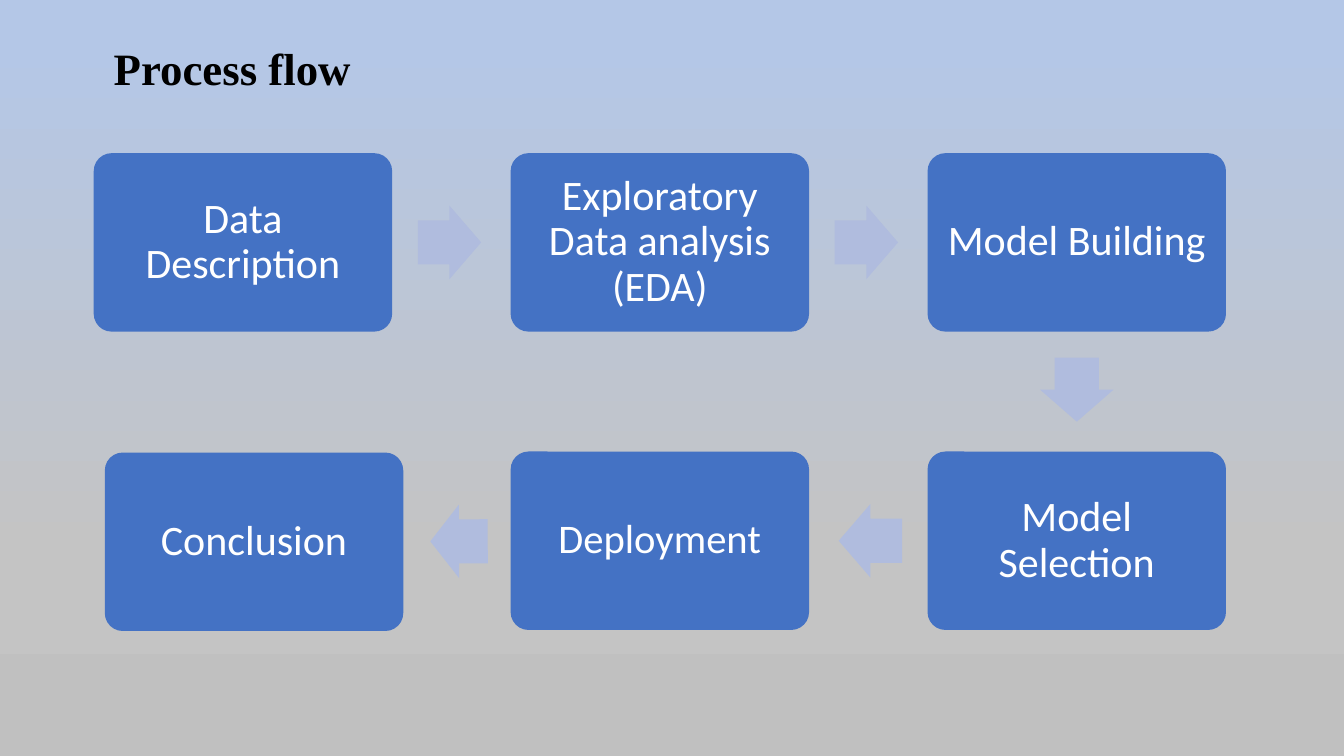
from copy import deepcopy
from math import atan2, degrees

from pptx import Presentation
from pptx.dml.color import RGBColor
from pptx.enum.shapes import MSO_SHAPE
from pptx.enum.text import MSO_ANCHOR, PP_ALIGN
from pptx.oxml.ns import qn
from pptx.util import Inches, Pt

ROUND, ARROW = MSO_SHAPE.ROUNDED_RECTANGLE, MSO_SHAPE.RIGHT_ARROW
MIDDLE = MSO_ANCHOR.MIDDLE
LEFT, CENTER = PP_ALIGN.LEFT, PP_ALIGN.CENTER

# Content: label, column, row, offset from the grid, type size
TITLE = "Process flow"
STEPS = [
    ("Data Description", 0, 0, (0, 0), "step"),
    ("Exploratory Data analysis (EDA)", 1, 0, (0, 0), "step"),
    ("Model Building", 2, 0, (0, 0), "step"),
    ("Model Selection", 2, 1, (0, 0), "step"),
    ("Deployment", 1, 1, (0, 0), "small"),
    ("Conclusion", 0, 1, (0.11, 0.01), "step"),
]

THEME = {
    "title": 32, "step": 30, "small": 29,
    "head": "Times New Roman", "body": "Calibri",
    "ink": "000000", "white": "FFFFFF", "box": "4472C4", "arrow": "B0BCDE",
    "back": [(0.05, "B4C7E7"), (0.73, "C4C4C4"), (1, "C0C0C0")],
}

# Grid, in inches
WIDE, HIGH = 13.33, 7.5
X0, Y0 = 0.93, 1.52
BOX_W, BOX_H = 2.96, 1.77
STEP_X, STEP_Y = 4.135, 2.96
ARROW_H = 0.73
BACK = 0.02  # each arrow sits slightly toward its start


def color(name):
    return RGBColor.from_string(THEME.get(name, name))


def write(shape, text, size, font, ink, bold=False, align=CENTER, pad=(0.12, 0.12)):
    frame = shape.text_frame
    frame.word_wrap = True
    frame.vertical_anchor = MIDDLE
    frame.margin_left = frame.margin_right = Inches(pad[0])
    frame.margin_top = frame.margin_bottom = Inches(pad[1])
    para = frame.paragraphs[0]
    para.alignment, para.line_spacing = align, 0.9
    run = para.add_run()
    run.text = text
    run.font.size, run.font.name = Pt(THEME[size]), THEME[font]
    run.font.bold, run.font.color.rgb = bold, color(ink)


def draw(slide, kind, mid, size, fill, adjust):
    x, y = (m - s / 2 for m, s in zip(mid, size))
    shape = slide.shapes.add_shape(kind, *map(Inches, (x, y, *size)))
    shape.shadow.inherit = False
    shape.fill.solid()
    shape.fill.fore_color.rgb = color(fill)
    shape.line.fill.background()
    for i, value in enumerate(adjust):
        shape.adjustments[i] = value
    return shape


def paint(slide):
    fill = slide.background.fill
    fill.gradient()
    fill.gradient_angle = 270
    stops = slide.element.find(".//" + qn("a:gsLst"))
    stops.append(deepcopy(stops[-1]))
    for stop, (place, tone) in zip(fill.gradient_stops, THEME["back"]):
        stop.position, stop.color.rgb = place, color(tone)


def link(slide, start, end):
    dx, dy = end[0] - start[0], end[1] - start[1]
    flat = abs(dx) > abs(dy)
    # Arrow length follows the gap between the two boxes
    gap = abs(dx) - BOX_W if flat else abs(dy) - BOX_H
    size = (0.535 * gap, ARROW_H)
    span = max(abs(dx), abs(dy))
    mid = [(a + b) / 2 - BACK * (b - a) / span for a, b in zip(start, end)]
    arrow = draw(slide, ARROW, mid, size, "arrow", (0.6, 0.5))
    arrow.rotation = round(degrees(atan2(dy, dx)), 1) % 360


def main():
    deck = Presentation()
    deck.slide_width, deck.slide_height = Inches(WIDE), Inches(HIGH)
    slide = deck.slides.add_slide(deck.slide_layouts[6])
    paint(slide)

    # Title
    title = slide.shapes.add_textbox(*map(Inches, (1.03, 0.41, 3.17, 0.59)))
    write(title, TITLE, "title", "head", "ink", bold=True, align=LEFT, pad=(0.1, 0.05))

    # Boxes, each joined to the one before by an arrow
    last = None
    for text, col, row, (dx, dy), size in STEPS:
        mid = (X0 + col * STEP_X + BOX_W / 2 + dx, Y0 + row * STEP_Y + BOX_H / 2 + dy)
        if last:
            link(slide, last, mid)
        box = draw(slide, ROUND, mid, (BOX_W, BOX_H), "box", (0.1,))
        write(box, text, size, "body", "white")
        last = mid

    deck.save("out.pptx")


if __name__ == "__main__":
    main()
